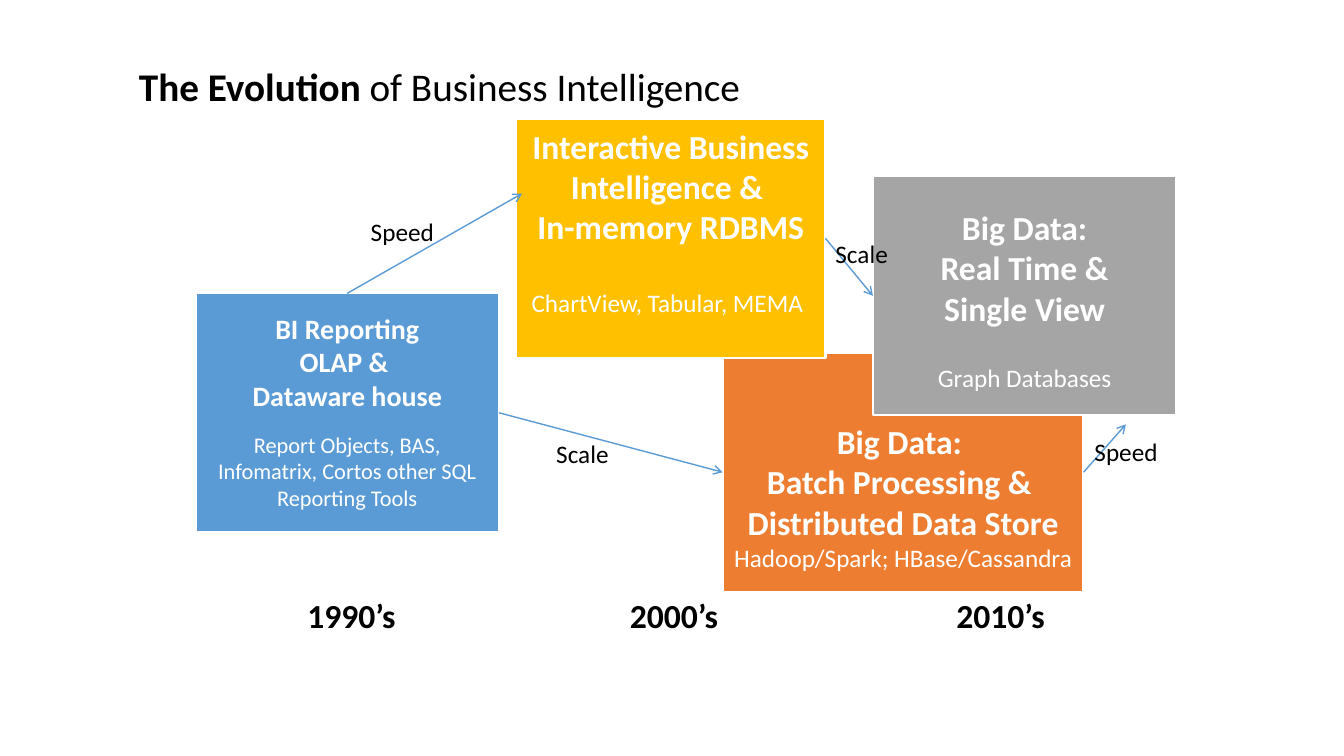
from pptx import Presentation
from pptx.dml.color import RGBColor
from pptx.enum.shapes import MSO_CONNECTOR, MSO_SHAPE
from pptx.enum.text import MSO_ANCHOR as ANCHOR, PP_ALIGN as ALIGN
from pptx.oxml.ns import qn
from pptx.util import Pt
from lxml.etree import SubElement

TOP, LEFT, RIGHT = 0, 1, 3  # connection sites
BOX_H = 170.64
LINE_BLUE = "5B9BD5"

# name: left, top, width, fill, top inset, heading size, heading lines,
#       gap above tools, tools size, tools, alignment, indent
STAGES = {
    "batch": (516.24, 252, 257.76, "ED7D31", 48.7, 24,
              ["Big Data: ", "Batch Processing & ", "Distributed Data Store"],
              0, 18, "Hadoop/Spark; HBase/Cassandra", ALIGN.CENTER, 0),
    "reporting": (139.68, 209.52, 216.72, "5B9BD5", 12.7, 20,
                  ["BI Reporting", "OLAP & ", "Dataware house"], 13.4, 16,
                  "Report Objects, BAS, Infomatrix, Cortos other SQL Reporting Tools",
                  ALIGN.CENTER, 0),
    "interactive": (368.64, 84.96, 221.04, "FFC000", 4.7, 24,
                    ["Interactive Business Intelligence & ", "In-memory RDBMS"],
                    29.3, 18, "ChartView, Tabular, MEMA", ALIGN.LEFT, 4),
    "realtime": (623.52, 126, 216.72, "A5A5A5", 21.8, 24,
                 ["Big Data:", "Real Time &", "Single View"],
                 24.4, 18, "Graph Databases", ALIGN.CENTER, 0),
}
# start box, start site, end point or (end box, end site), label, label left, top
ARROWS = [
    ("reporting", TOP, (372.96, 138.24), "Speed", 257.76, 151.2),
    ("reporting", RIGHT, ("batch", LEFT), "Scale", 390.24, 309.6),
    ("interactive", RIGHT, ("realtime", LEFT), "Scale", 589.68, 167.04),
    ("batch", RIGHT, (804.24, 303.12), "Speed", 774.72, 308.16),
]
LABEL_W = {"Speed": 59.76, "Scale": 52.56}
DECADES = {"1990’s": 212.4, "2000’s": 442.8, "2010’s": 676.08}


def rgb(code):
    return RGBColor.from_string(code)


def add_run(p, text, size, color="000000", bold=False):
    r = p.add_run()
    r.text = text
    style = {"name": "Calibri", "size": Pt(size), "bold": bold}
    for name, value in style.items():
        setattr(r.font, name, value)
    r.font.color.rgb = rgb(color)


def add_label(s, left, top, width, height, text, size, bold=False):
    sp = s.shapes.add_textbox(Pt(left), Pt(top), Pt(width), Pt(height))
    sp.text_frame.word_wrap = False
    add_run(sp.text_frame.paragraphs[0], text, size, bold=bold)


def add_title(s, left, top, width, height):
    tf = s.shapes.add_textbox(Pt(left), Pt(top), Pt(width), Pt(height)).text_frame
    tf.word_wrap = True
    tf.vertical_anchor = ANCHOR.BOTTOM
    p = tf.paragraphs[0]
    p.line_spacing = 0.9
    add_run(p, "The Evolution ", 28, bold=True)
    add_run(p, "of Business Intelligence", 28)


def add_stage(s, left, top, width, fill, inset, size, heading,
              gap, tools_size, tools, align, indent):
    sp = s.shapes.add_shape(MSO_SHAPE.RECTANGLE, Pt(left), Pt(top), Pt(width), Pt(BOX_H))
    sp.shadow.inherit = False
    sp.fill.solid()
    sp.fill.fore_color.rgb = rgb(fill)
    sp.line.color.rgb = rgb("FFFFFF")
    sp.line.width = Pt(1.5)
    tf = sp.text_frame
    layout = {"word_wrap": True, "vertical_anchor": ANCHOR.TOP,
              "margin_top": Pt(inset), "margin_bottom": 0}
    for name, value in layout.items():
        setattr(tf, name, value)
    for i, text in enumerate(heading):
        p = tf.add_paragraph() if i else tf.paragraphs[0]
        p.alignment = ALIGN.CENTER
        add_run(p, text, size, "FFFFFF", True)
    p = tf.add_paragraph()
    p.alignment = align
    p.space_before = Pt(gap)
    if indent:
        p._p.get_or_add_pPr().set("marL", str(Pt(indent)))
    add_run(p, tools, tools_size, "FFFFFF")
    return sp


def add_arrow(s, boxes, start, site, end):
    """Join a box side to a point or to another box side."""
    glued = end[0] in boxes
    x, y = (0, 0) if glued else end
    line = s.shapes.add_connector(MSO_CONNECTOR.STRAIGHT, 0, 0, Pt(x), Pt(y))
    line.begin_connect(boxes[start], site)
    if glued:
        line.end_connect(boxes[end[0]], end[1])
    line.line.color.rgb = rgb(LINE_BLUE)
    line.line.width = Pt(1)
    SubElement(line.line._get_or_add_ln(), qn("a:tailEnd"), type="arrow")
    SubElement(line._element.spPr, qn("a:effectLst"))


def main():
    prs = Presentation()
    prs.slide_width, prs.slide_height = Pt(960), Pt(540)
    s = prs.slides.add_slide(prs.slide_layouts[6])
    boxes = {name: add_stage(s, *stage) for name, stage in STAGES.items()}
    add_title(s, 92.16, 35.28, 580.32, 46.8)
    for decade, left in DECADES.items():
        add_label(s, left, 421.2, 79.92, 36, decade, 24, True)
    for start, site, end, label, left, top in ARROWS:
        add_arrow(s, boxes, start, site, end)
        add_label(s, left, top, LABEL_W[label], 28.8, label, 18)
    prs.save("out.pptx")


if __name__ == "__main__":
    main()
